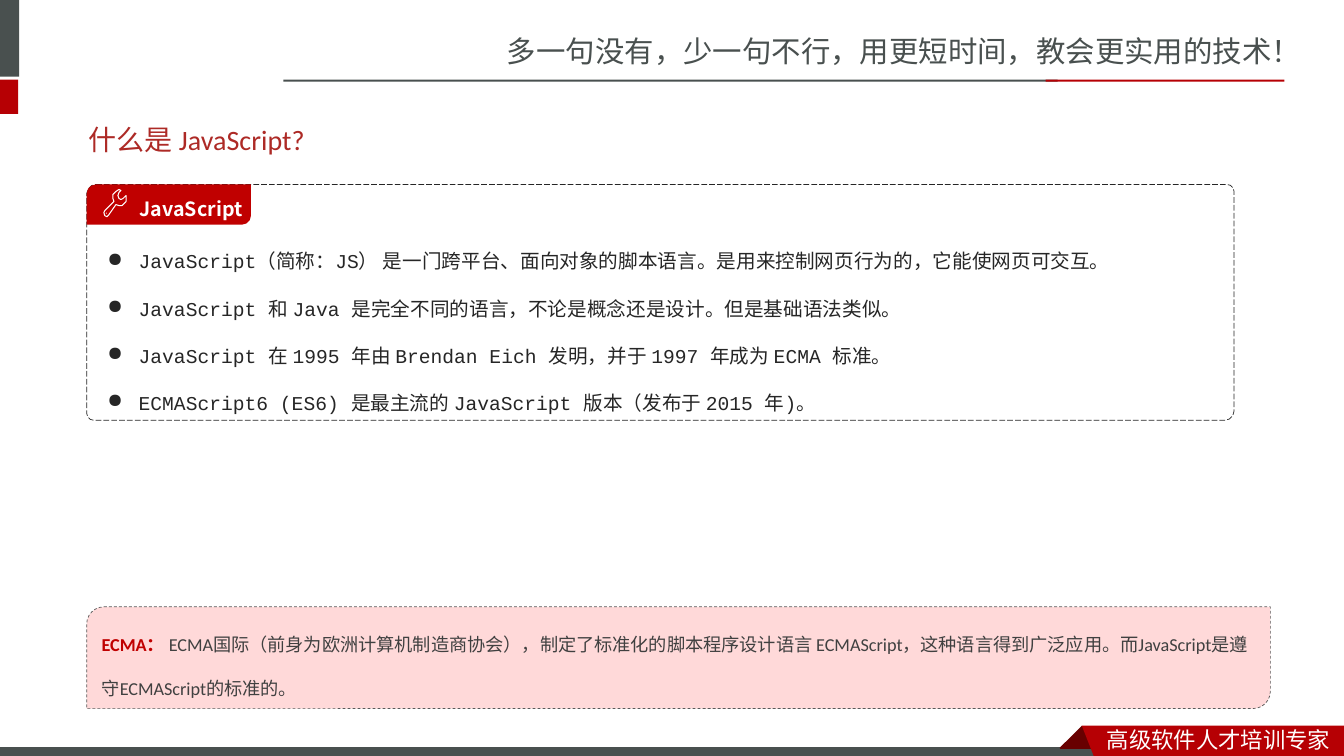
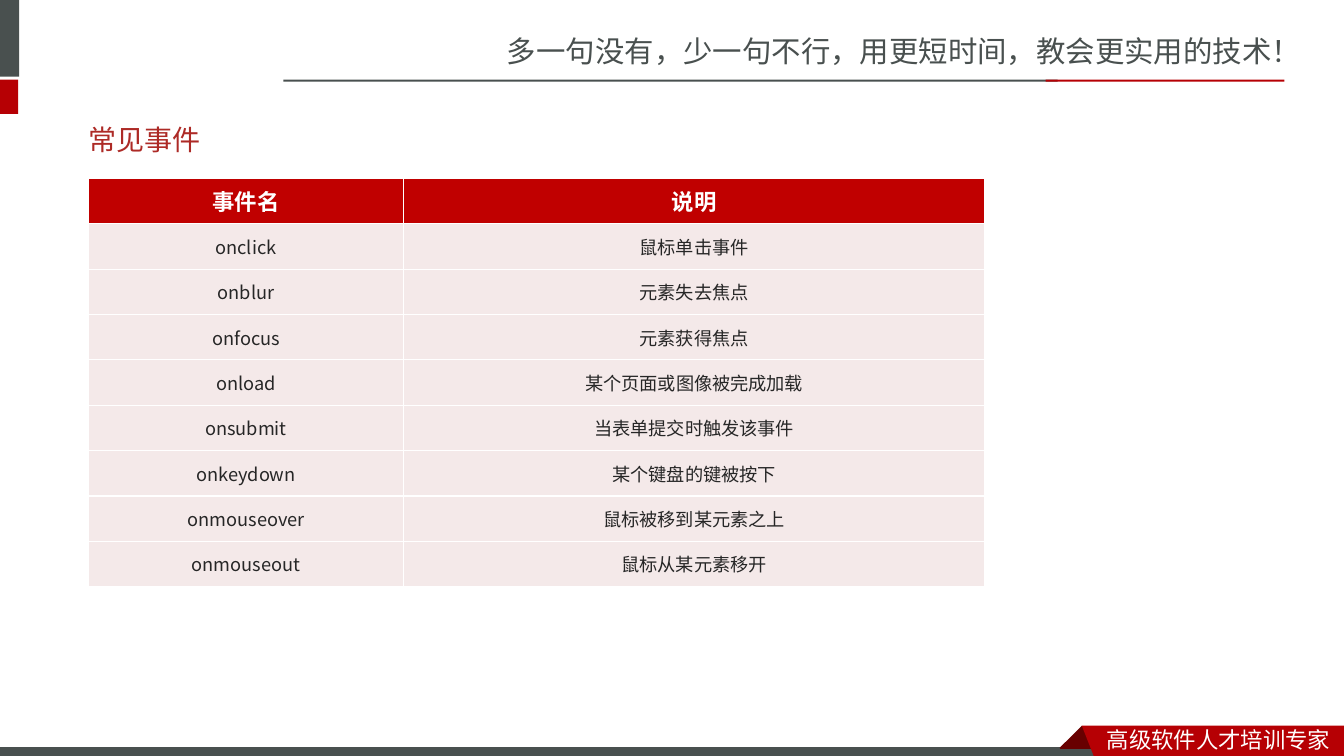
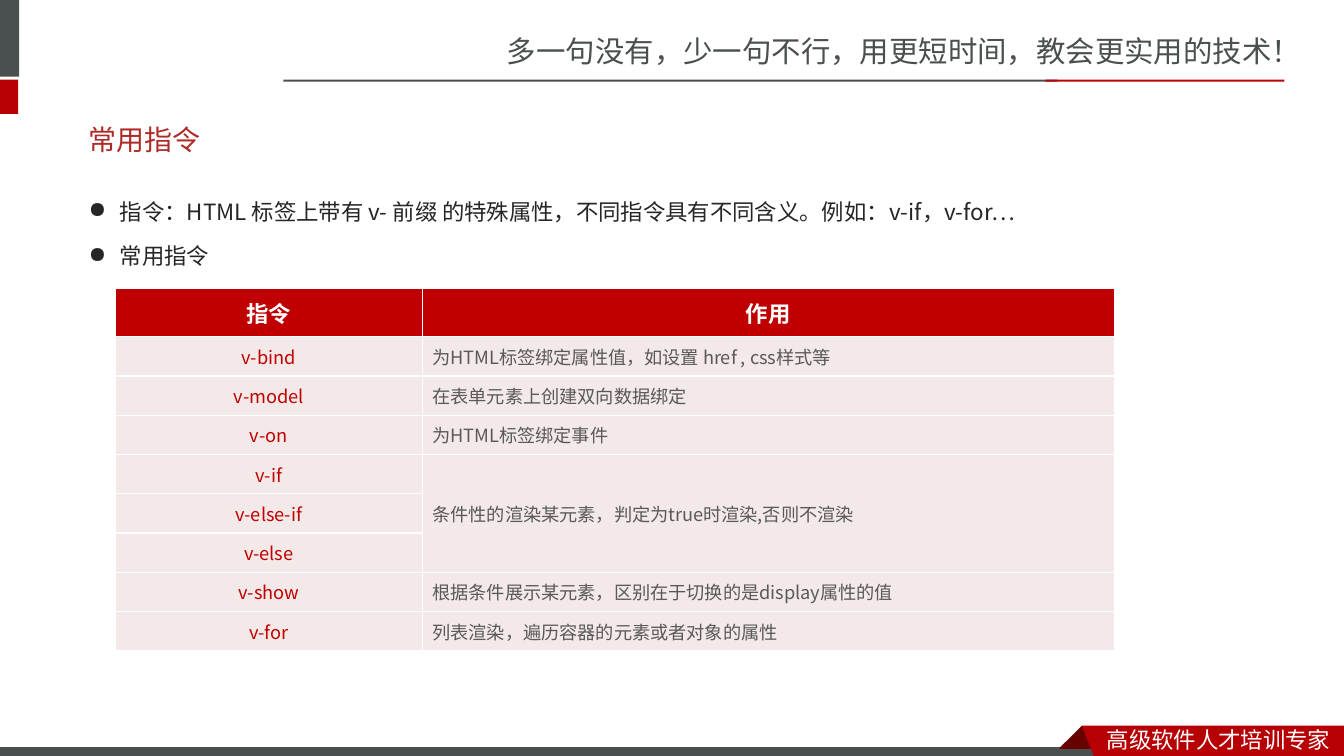
from lxml import etree
from pptx import Presentation
from pptx.dml.color import RGBColor as RGB
from pptx.enum.dml import MSO_LINE as DASH
from pptx.enum.shapes import MSO_SHAPE as SHAPE
from pptx.enum.text import MSO_ANCHOR as ANCHOR, PP_ALIGN as ALIGN
from pptx.oxml.ns import qn
from pptx.util import Inches, Pt

COLORS = {
    "slate": "49504F", "crimson": "B60004", "maroon": "680000",
    "title": "AD2A26", "red": "C00000", "pure red": "FF0000",
    "ink": "262626", "dark": "404040", "gray": "595959",
    "row": "F4E9E9", "white": "FFFFFF",
}
SC, JP = "Noto Sans CJK SC", "Noto Sans CJK JP"

deck = Presentation()
deck.slide_width, deck.slide_height = Inches(13.33), Inches(7.5)


def write(frame, paragraphs, size, name, color, bold=False, insets=None,
          anchor=ANCHOR.TOP, bullet=None, **layout):
    """Fill a text frame; a paragraph is a string or a list of (text, color, bold)."""
    frame.word_wrap = True
    frame.vertical_anchor = anchor
    for side, inset in zip(("left", "top", "right", "bottom"), insets or ()):
        setattr(frame, f"margin_{side}", Inches(inset))
    for i, runs in enumerate(paragraphs):
        para = frame.paragraphs[0] if i == 0 else frame.add_paragraph()
        for key, value in {"alignment": ALIGN.LEFT, **layout}.items():
            setattr(para, key, value)
        if bullet:
            props = para._p.get_or_add_pPr()
            props.set("marL", str(Inches(bullet)))
            props.set("indent", str(-Inches(0.31)))
            etree.SubElement(props, qn("a:buChar")).set("char", "●")
        if isinstance(runs, str):
            runs = [(runs, color, bold)]
        for text, run_color, run_bold in runs:
            run = para.add_run()
            run.text = text
            for key, value in {"size": Pt(size), "name": name, "bold": run_bold}.items():
                setattr(run.font, key, value)
            run.font.color.rgb = RGB.from_string(COLORS[run_color])


def paint(shape, fill=None, line=None, width=0.5, dash=None):
    """Give a shape its fill and outline, without a shadow."""
    shape.shadow.inherit = False
    if fill:
        shape.fill.solid()
        shape.fill.fore_color.rgb = RGB.from_string(COLORS[fill])
    else:
        shape.fill.background()
    if line:
        shape.line.color.rgb = RGB.from_string(COLORS[line])
        shape.line.width = Pt(width)
        shape.line.dash_style = dash
    else:
        shape.line.fill.background()
    return shape


# Shared frame: bars, footer ribbon (in hundredths of an inch), slogans, title
BARS = [
    ((-0.06, 0, 0.25, 0.76), "slate", None),
    ((-0.06, 0.79, 0.24, 0.34), "crimson", None),
    ((2.81, 0.79, 7.68, 0.02), "slate", None),
    ((10.37, 0.79, 2.37, 0.02), "crimson", None),
    ((-0.01, 7.41, 11, 0.12), "slate", "white"),
]
RIBBON = [
    ([(1073, 720), (1095, 742), (1094, 743), (1052, 743), (1051, 742)], "maroon"),
    ([(1073, 720), (1333, 720), (1333, 754), (1086, 753)], "crimson"),
]
SLOGANS = [
    ((4.93, 0.28, 8.41, 0.47), "多一句没有，少一句不行，用更短时间，教会更实用的技术！", 21, "slate"),
    ((10.88, 7.15, 2.45, 0.37), "高级软件人才培训专家", 16, "white"),
]
slides = []
for title in ("什么是 JavaScript?", "常见事件", "常用指令"):
    slide = deck.slides.add_slide(deck.slide_layouts[6])
    shapes = slide.shapes
    for box, fill, line in BARS:
        bar = shapes.add_shape(SHAPE.RECTANGLE, *map(Inches, box))
        paint(bar, fill, line, 0.75)
    for outline, fill in RIBBON:
        fold = shapes.build_freeform(*outline[0], scale=Inches(0.01))
        fold.add_line_segments(outline[1:])
        paint(fold.convert_to_shape(), fill)
    for box, text, size, color in SLOGANS:
        slogan = shapes.add_textbox(*map(Inches, box))
        write(slogan.text_frame, [text], size, SC, color)
    heading = shapes.add_textbox(*map(Inches, (0.78, 1.1, 11.7, 0.57)))
    write(heading.text_frame, [title], 20, "Calibri", "title", anchor=ANCHOR.MIDDLE)
    slides.append(slide)
intro, events, directives = slides

# Slide 1: dashed panel, its label and the ECMA note
PANELS = [
    ((0.86, 1.83, 11.38, 2.34), (0.04, 0.03), (None, "ink", 0.5, DASH.LONG_DASH), [
        "JavaScript（简称：JS） 是一门跨平台、面向对象的脚本语言。是用来控制网页行为的，它能使网页可交互。",
        "JavaScript 和 Java 是完全不同的语言，不论是概念还是设计。但是基础语法类似。",
        "JavaScript 在 1995 年由 Brendan Eich 发明，并于 1997 年成为 ECMA 标准。",
        "ECMAScript6 (ES6) 是最主流的 JavaScript 版本（发布于 2015 年)。",
    ], dict(size=14, name="Courier New", color="ink", insets=(0.1, 0.55, 0.1, 0.2),
            bullet=0.39, line_spacing=2.0)),
    ((0.86, 1.83, 1.63, 0.4), (0.23, 0), ("red",), ["JavaScript"],
     dict(size=14, name=JP, color="white", bold=True, insets=(0.5, 0, 0.04, 0.04),
          line_spacing=1.5)),
    ((0.86, 6.02, 11.74, 1.01), (0.17, 0), ("pure red", "gray", 0.5, DASH.DASH), [[
        ("ECMA：", "red", True),
        (" ECMA国际（前身为欧洲计算机制造商协会），制定了标准化的脚本程序设计语言 ECMAScript，"
         "这种语言得到广泛应用。而JavaScript是遵守ECMAScript的标准的。", "dark", False),
    ]], dict(size=13, name="Calibri", color="dark", insets=(0.1, 0, 0.1, 0.05),
             line_spacing=2.0)),
]
for box, corners, look, lines, style in PANELS:
    panel = paint(intro.shapes.add_shape(SHAPE.ROUND_2_DIAG_RECTANGLE, *map(Inches, box)), *look)
    for i, corner in enumerate(corners):
        panel.adjustments[i] = corner
    write(panel.text_frame, lines, anchor=ANCHOR.MIDDLE, **style)
# The note, drawn last, is a 15 % tint
tint = panel._element.spPr.find(qn("a:solidFill"))[0]
etree.SubElement(tint, qn("a:alpha")).set("val", "15000")

# Wrench icon, in hundredths of an inch
WRENCH = [
    (125, 194), (122, 197), (120, 198), (118, 197), (117, 194), (118, 191), (120, 189),
    (118, 188), (115, 190), (112, 193), (112, 197), (113, 200), (104, 209), (103, 211),
    (104, 214), (106, 215), (108, 213), (115, 203), (118, 204), (121, 204), (125, 200),
]
wrench = intro.shapes.build_freeform(*WRENCH[0], scale=Inches(0.01))
wrench.add_line_segments(WRENCH[1:])
paint(wrench.convert_to_shape(), line="white", width=0.75)
rivet = intro.shapes.add_shape(SHAPE.OVAL, *map(Inches, (1.05, 2.11, 0.01, 0.01)))
paint(rivet, "white")

# Slide 3: bullets above the table
points = directives.shapes.add_textbox(*map(Inches, (0.78, 1.78, 11.7, 1.02)))
write(points.text_frame, [
    "指令：HTML 标签上带有 v- 前缀 的特殊属性，不同指令具有不同含义。例如：v-if，v-for…",
    "常用指令",
], 16, JP, "ink", bullet=0.31, line_spacing=1.5, space_before=Pt(3.2))

# Slides 2 and 3: tables
EVENTS = [
    ("事件名", "说明"),
    ("onclick", "鼠标单击事件"),
    ("onblur", "元素失去焦点"),
    ("onfocus", "元素获得焦点"),
    ("onload", "某个页面或图像被完成加载"),
    ("onsubmit", "当表单提交时触发该事件"),
    ("onkeydown", "某个键盘的键被按下"),
    ("onmouseover", "鼠标被移到某元素之上"),
    ("onmouseout", "鼠标从某元素移开"),
]
DIRECTIVES = [
    ("指令", "作用"),
    ("v-bind", "为HTML标签绑定属性值，如设置 href , css样式等"),
    ("v-model", "在表单元素上创建双向数据绑定"),
    ("v-on", "为HTML标签绑定事件"),
    ("v-if", "条件性的渲染某元素，判定为true时渲染,否则不渲染"),
    ("v-else-if", ""),
    ("v-else", ""),
    ("v-show", "根据条件展示某元素，区别在于切换的是display属性的值"),
    ("v-for", "列表渲染，遍历容器的元素或者对象的属性"),
]
TABLES = [
    (events, EVENTS, (0.88, 1.77, 8.89, 4.02), (3.12, 5.77), 0.45, 0.45,
     "Calibri", ("ink", "ink"), ALIGN.CENTER),
    (directives, DIRECTIVES, (1.14, 2.86, 9.91, 3.64), (3.05, 6.86), 0.48, 0.39,
     JP, ("red", "gray"), ALIGN.LEFT),
]
for slide, rows, box, widths, head, body, head_font, inks, last_align in TABLES:
    grid = slide.shapes.add_table(len(rows), 2, *map(Inches, box)).table
    grid.horz_banding = False
    for column, width in zip(grid.columns, widths):
        column.width = Inches(width)
    for r, row in enumerate(rows):
        grid.rows[r].height = Inches(body if r else head)
        for c, text in enumerate(row):
            cell = grid.cell(r, c)
            cell.fill.solid()
            cell.fill.fore_color.rgb = RGB.from_string(COLORS["row" if r else "red"])
            cell.vertical_anchor = ANCHOR.MIDDLE
            if not text:
                continue
            align = last_align if r and c else ALIGN.CENTER
            if r:
                write(cell.text_frame, [text], 13, JP, inks[c], alignment=align)
            else:
                write(cell.text_frame, [text], 16, head_font, "white", True, alignment=align)
            cell.vertical_anchor = ANCHOR.MIDDLE
# One description covers v-if, v-else-if and v-else
grid.cell(4, 1).merge(grid.cell(6, 1))

deck.save("out.pptx")
